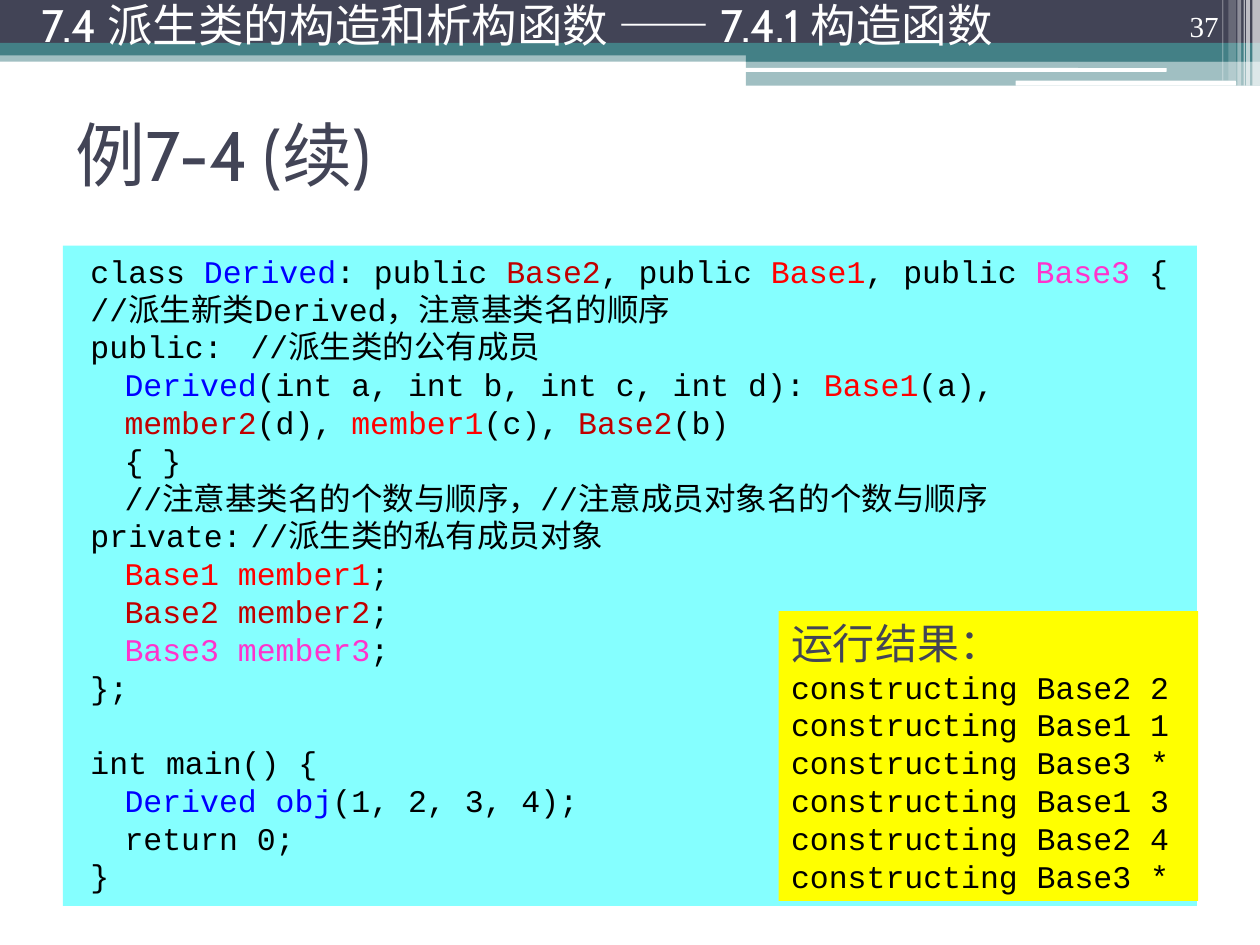
from dataclasses import dataclass

from lxml.etree import SubElement
from pptx import Presentation
from pptx.dml.color import RGBColor
from pptx.enum.shapes import MSO_SHAPE
from pptx.enum.text import MSO_ANCHOR, MSO_AUTO_SIZE, PP_ALIGN
from pptx.oxml.ns import qn
from pptx.util import Inches, Pt

COLORS = {
    "white": "FFFFFF", "black": "000000", "slate": "424456", "teal": "438086",
    "cyan": "85FFFF", "yellow": "FFFF00", "blue": "0000FF", "dark red": "C00000",
    "red": "FF0000", "pink": "FF33CC",
}
CODE_FONT = "Courier New"


@dataclass
class Bar:
    left: float
    top: float
    width: float
    height: float
    color: str
    opacity: int = 100
    rounded: bool = False


@dataclass
class Run:
    text: str
    color: str = "black"
    size: float = 18
    font: str = CODE_FONT


BARS = [
    # Header bands
    Bar(0, 0.4, 10, 0.09, "teal", 50),
    Bar(0, 0, 10, 0.34, "slate"),
    Bar(0, 0.34, 10, 0.1, "teal"),
    Bar(5.92, 0.39, 4.08, 0.1, "teal"),
    Bar(5.92, 0.48, 4.08, 0.2, "teal", 50),
    Bar(5.91, 0.54, 3.35, 0.03, "white", rounded=True),
    Bar(8.06, 0.64, 1.75, 0.04, "white", rounded=True),
    # Vertical stripes at the right edge
    Bar(9.94, 0, 0.06, 0.68, "white", 65),
    Bar(9.89, 0, 0.03, 0.68, "white", 65),
    Bar(9.87, 0, 0.01, 0.68, "white", 60),
    Bar(9.82, 0, 0.03, 0.68, "white", 40),
    Bar(9.75, 0, 0.06, 0.64, "white", 20),
    Bar(9.7, 0, 0.01, 0.64, "white", 30),
]

CODE_LINES = [
    [Run("class "), Run("Derived", "blue"), Run(": public "), Run("Base2", "dark red"),
     Run(", public "), Run("Base1", "red"), Run(", public "), Run("Base3", "pink"), Run(" {")],
    [Run("//派生新类Derived，注意基类名的顺序")],
    [Run("public:\t//派生类的公有成员")],
    [Run("\t"), Run("Derived", "blue"), Run("(int a, int b, int c, int d): "),
     Run("Base1", "red"), Run("(a), "), Run("member2", "dark red"), Run("(d), "),
     Run("member1", "red"), Run("(c), "), Run("Base2", "dark red"), Run("(b)")],
    [Run("\t{ }")],
    [Run("\t//注意基类名的个数与顺序，//注意成员对象名的个数与顺序")],
    [Run("private:\t//派生类的私有成员对象")],
    [Run("\t"), Run("Base1 member1", "red"), Run(";")],
    [Run("\t"), Run("Base2 member2", "dark red"), Run(";")],
    [Run("\t"), Run("Base3 member3", "pink"), Run(";")],
    [Run("};")],
    [Run("int main() {")],
    [Run("\t"), Run("Derived obj", "blue"), Run("(1, 2, 3, 4);")],
    [Run("\treturn 0;")],
    [Run("}")],
]
MAIN_LINE = 11
OUTPUTS = ["Base2 2", "Base1 1", "Base3 *", "Base1 3", "Base2 4", "Base3 *"]


def add_bar(slide, bar: Bar):
    kind = MSO_SHAPE.ROUNDED_RECTANGLE if bar.rounded else MSO_SHAPE.RECTANGLE
    shape = slide.shapes.add_shape(
        kind, Inches(bar.left), Inches(bar.top), Inches(bar.width), Inches(bar.height))
    shape.shadow.inherit = False
    shape.fill.solid()
    shape.fill.fore_color.rgb = RGBColor.from_string(COLORS[bar.color])
    shape.line.fill.background()
    if bar.opacity < 100:
        color = shape.fill._xPr.find(qn("a:solidFill"))[0]
        SubElement(color, qn("a:alpha"), val=str(bar.opacity * 1000))
    return shape


def add_text_box(slide, left: float, top: float, width: float, height: float):
    return slide.shapes.add_textbox(Inches(left), Inches(top), Inches(width), Inches(height))


def write_lines(shape, lines: list[list[Run]], anchor=MSO_ANCHOR.TOP,
                align=PP_ALIGN.LEFT, spacing: float = 1.0) -> list:
    frame = shape.text_frame
    frame.word_wrap = True
    frame.auto_size = MSO_AUTO_SIZE.NONE
    frame.vertical_anchor = anchor
    for index, line in enumerate(lines):
        paragraph = frame.add_paragraph() if index else frame.paragraphs[0]
        paragraph.alignment = align
        paragraph.line_spacing = spacing
        for item in line:
            run = paragraph.add_run()
            run.text = item.text
            run.font.size = Pt(item.size)
            run.font.name = item.font
            run.font.color.rgb = RGBColor.from_string(COLORS[item.color])
    return list(frame.paragraphs)


def set_code_indent(paragraph) -> None:
    properties = paragraph._p.get_or_add_pPr()
    properties.set("marL", str(Inches(0.39)))
    properties.set("indent", str(Inches(-0.27)))
    tabs = SubElement(properties, qn("a:tabLst"))
    for position in range(8):
        SubElement(tabs, qn("a:tab"), pos=str(Inches(position)), algn="l")


def main() -> None:
    presentation = Presentation()
    presentation.slide_width = Inches(10)
    presentation.slide_height = Inches(7.5)
    slide = presentation.slides.add_slide(presentation.slide_layouts[5])

    # Header decoration
    for bar in BARS:
        add_bar(slide, bar)

    # Slide number
    number = add_text_box(slide, 8.94, 0, 0.83, 0.4)
    write_lines(number, [[Run("37", "white", 16.6, "Times New Roman")]],
                MSO_ANCHOR.BOTTOM, PP_ALIGN.RIGHT, 0.9)

    # Title
    title = slide.shapes.title
    title.left, title.top = Inches(0.5), Inches(0.63)
    title.width, title.height = Inches(9), Inches(1.17)
    write_lines(title, [[Run("例7-4 (续)", "slate", 40, "Cabin")]], MSO_ANCHOR.MIDDLE)

    # Code panel
    code = add_bar(slide, Bar(0.5, 1.95, 9, 5.24, "cyan"))
    paragraphs = write_lines(code, CODE_LINES)
    for paragraph in paragraphs:
        set_code_indent(paragraph)
    paragraphs[MAIN_LINE].space_before = Pt(21.5)

    # Section heading
    heading = add_text_box(slide, 0.23, 0, 9.57, 0.47)
    write_lines(heading, [[Run("7.4 派生类的构造和析构函数 —— 7.4.1 构造函数", "white", 26, "Cabin")]],
                MSO_ANCHOR.MIDDLE, spacing=0.8)

    # Program output
    output = add_bar(slide, Bar(6.18, 4.85, 3.33, 2.3, "yellow"))
    write_lines(output, [[Run("运行结果：", "slate", 24, "Times New Roman")]]
                + [[Run(f"constructing {line}")] for line in OUTPUTS])

    presentation.save("out.pptx")


if __name__ == "__main__":
    main()
